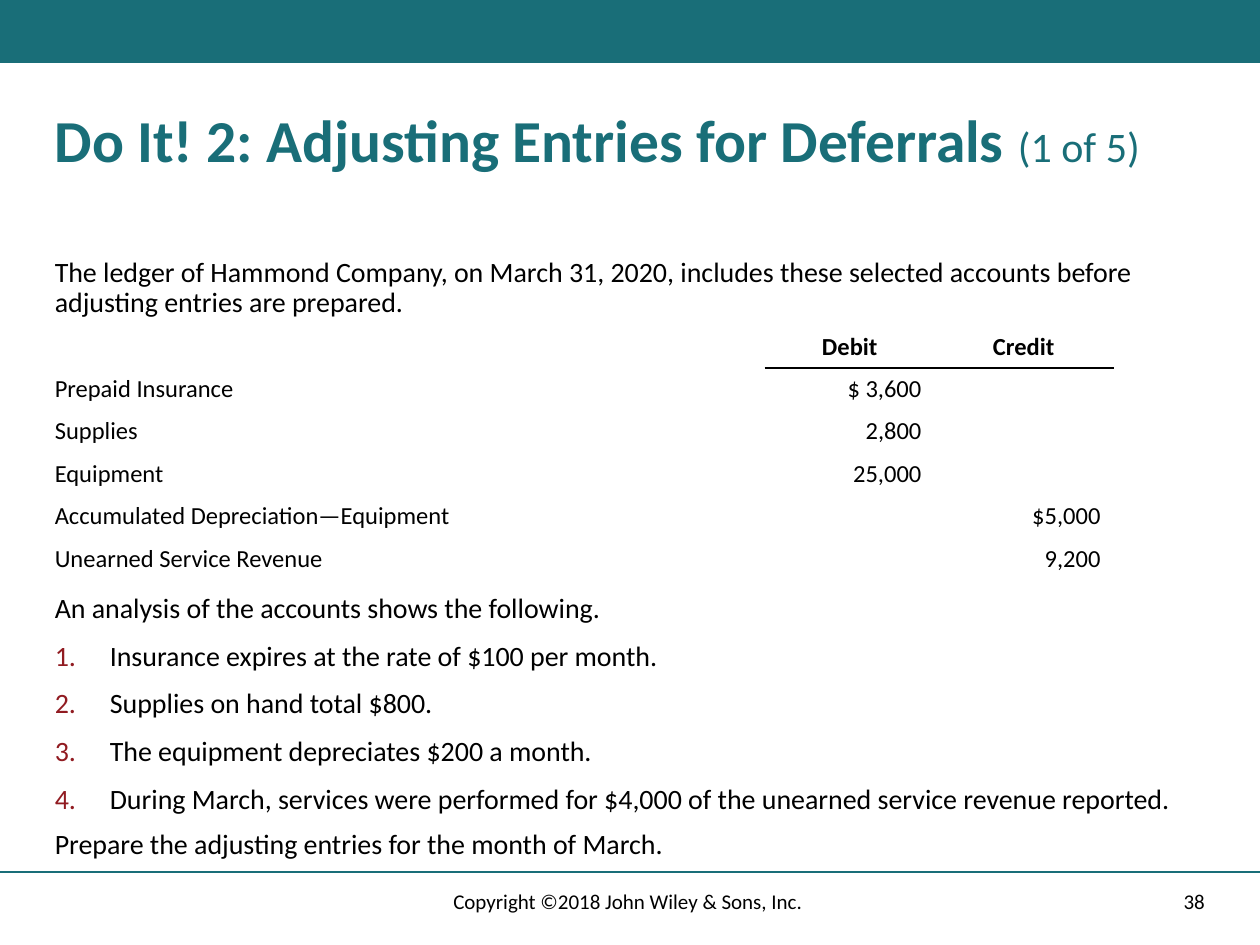
from lxml.etree import SubElement
from pptx import Presentation
from pptx.dml.color import RGBColor
from pptx.enum.shapes import MSO_CONNECTOR, MSO_SHAPE
from pptx.enum.text import MSO_ANCHOR, MSO_AUTO_SIZE, PP_ALIGN
from pptx.oxml import parse_xml
from pptx.oxml.ns import nsdecls, qn
from pptx.util import Cm, Pt

TEAL = RGBColor(0x19, 0x6E, 0x78)
RED = RGBColor(0x91, 0x1B, 0x21)
BLACK = RGBColor(0, 0, 0)
FONT = "Calibri"
LEFT = 0.85
WIDTH = 23.71

ACCOUNTS = [
    ("", "Debit", "Credit"),
    ("Prepaid Insurance", "$ 3,600", ""),
    ("Supplies", "2,800", ""),
    ("Equipment", "25,000", ""),
    ("Accumulated Depreciation—Equipment", "", "$5,000"),
    ("Unearned Service Revenue", "", "9,200"),
]
ANALYSIS = [
    "Insurance expires at the rate of $100 per month.",
    "Supplies on hand total $800.",
    "The equipment depreciates $200 a month.",
    "During March, services were performed for $4,000 of the unearned "
    "service revenue reported.",
]


def add_text(p, text, size=16, color=BLACK, bold=False, align=PP_ALIGN.LEFT):
    """Add a formatted run to a paragraph."""
    p.alignment = align
    r = p.add_run()
    r.text = text
    r.font.name = FONT
    r.font.size = Pt(size)
    r.font.bold = bold
    r.font.color.rgb = color


def place(sp, x, y, w, h, anchor=MSO_ANCHOR.TOP):
    """Move a text shape and return its prepared text frame."""
    sp.left, sp.top, sp.width, sp.height = Cm(x), Cm(y), Cm(w), Cm(h)
    tf = sp.text_frame
    tf.word_wrap = True
    tf.auto_size = MSO_AUTO_SIZE.NONE
    tf.vertical_anchor = anchor
    return tf


def set_bullet(p, numbered):
    """Number a paragraph in red, or clear its bullet and indent."""
    pPr = p._p.get_or_add_pPr()
    indent = Cm(1.11) if numbered else 0
    pPr.set("marL", str(indent))
    pPr.set("indent", str(-indent))
    if numbered:
        clr = SubElement(pPr, qn("a:buClr"))
        SubElement(clr, qn("a:srgbClr"), val=str(RED))
        SubElement(pPr, qn("a:buFont"), typeface="+mj-lt")
        SubElement(pPr, qn("a:buAutoNum"), type="arabicPeriod")
    else:
        SubElement(pPr, qn("a:buNone"))


def add_body(sp, box, intro, items=()):
    """Fill a body placeholder with an opening line and numbered items."""
    tf = place(sp, *box)
    for i, text in enumerate([intro, *items]):
        p = tf.paragraphs[0] if i == 0 else tf.add_paragraph()
        set_bullet(p, numbered=i > 0)
        p.line_spacing = 0.9
        p.space_before = Pt(10 if i else 0)
        add_text(p, text)


def add_title(sp):
    """Fill the title with a bold heading and a lighter part number."""
    p = place(sp, LEFT, 2.12, WIDTH, 2.12).paragraphs[0]
    p.line_spacing = 0.9
    add_text(p, "Do It! 2: Adjusting Entries for Deferrals ", size=34,
             color=TEAL, bold=True)
    add_text(p, "(1 of 5)", size=24, color=TEAL)


def add_border(cell, side):
    """Draw a black rule on one side of a cell."""
    ln = parse_xml(f'<a:{side} {nsdecls("a")} w="{Pt(1)}"><a:solidFill>'
                   f'<a:srgbClr val="{BLACK}"/></a:solidFill></a:{side}>')
    cell._tc.get_or_add_tcPr().insert(0, ln)


def add_accounts(s):
    """Add the table of ledger balances."""
    table = s.shapes.add_table(len(ACCOUNTS), 3, Cm(LEFT), Cm(6.56),
                               Cm(21.59), Cm(5.1)).table
    table.first_row = table.horz_banding = False
    for col, w in zip(table.columns, (14.58, 3.4, 3.61)):
        col.width = Cm(w)
    for i, row in enumerate(ACCOUNTS):
        for j, text in enumerate(row):
            cell = table.cell(i, j)
            cell.fill.background()
            p = cell.text_frame.paragraphs[0]
            if text:
                number_align = PP_ALIGN.RIGHT if i else PP_ALIGN.CENTER
                add_text(p, text, size=14, bold=i == 0,
                         align=number_align if j else PP_ALIGN.LEFT)
            else:
                SubElement(p._p, qn("a:endParaRPr"), sz="1400")
            if j and i < 2:
                add_border(cell, "lnT" if i else "lnB")


def add_band(s, w):
    """Add the coloured band across the top."""
    sp = s.shapes.add_shape(MSO_SHAPE.RECTANGLE, 0, 0, w, Cm(1.27))
    sp.shadow.inherit = False
    sp.fill.solid()
    sp.fill.fore_color.rgb = TEAL
    sp.line.fill.background()


def add_rule(s, w):
    """Add the thin line above the footer."""
    y = Cm(17.58)
    ln = s.shapes.add_connector(MSO_CONNECTOR.STRAIGHT, 0, y, w, y)
    ln.line.color.rgb = TEAL
    ln.line.width = Pt(1)
    SubElement(ln._element.spPr, qn("a:effectLst"))


def add_footer(s, text, x, w, align):
    """Add one footer text box."""
    tf = place(s.shapes.add_textbox(0, 0, 0, 0), x, 17.65, w, 1.02,
               MSO_ANCHOR.MIDDLE)
    add_text(tf.paragraphs[0], text, size=12, align=align)


def main():
    """Build and save the slide."""
    prs = Presentation()
    prs.slide_width, prs.slide_height = Cm(25.4), Cm(19.05)
    s = prs.slides.add_slide(prs.slide_layouts.get_by_name("Comparison"))
    title, intro, analysis, task, spare = s.placeholders
    spare._element.getparent().remove(spare._element)

    add_band(s, prs.slide_width)
    add_rule(s, prs.slide_width)
    add_title(title)
    add_body(intro, (LEFT, 5.08, 22.86, 1.4),
             "The ledger of Hammond Company, on March 31, 2020, includes these "
             "selected accounts before adjusting entries are prepared.")
    add_accounts(s)
    add_body(analysis, (LEFT, 11.85, WIDTH, 4.66),
             "An analysis of the accounts shows the following.", ANALYSIS)
    add_body(task, (LEFT, 16.61, 12.9, 0.8),
             "Prepare the adjusting entries for the month of March.")
    add_footer(s, "38", 17.94, 6.6, PP_ALIGN.RIGHT)
    add_footer(s, "Copyright ©2018 John Wiley & Sons, Inc. ", 8.41, 8.59,
               PP_ALIGN.CENTER)
    prs.save("out.pptx")


if __name__ == "__main__":
    main()
